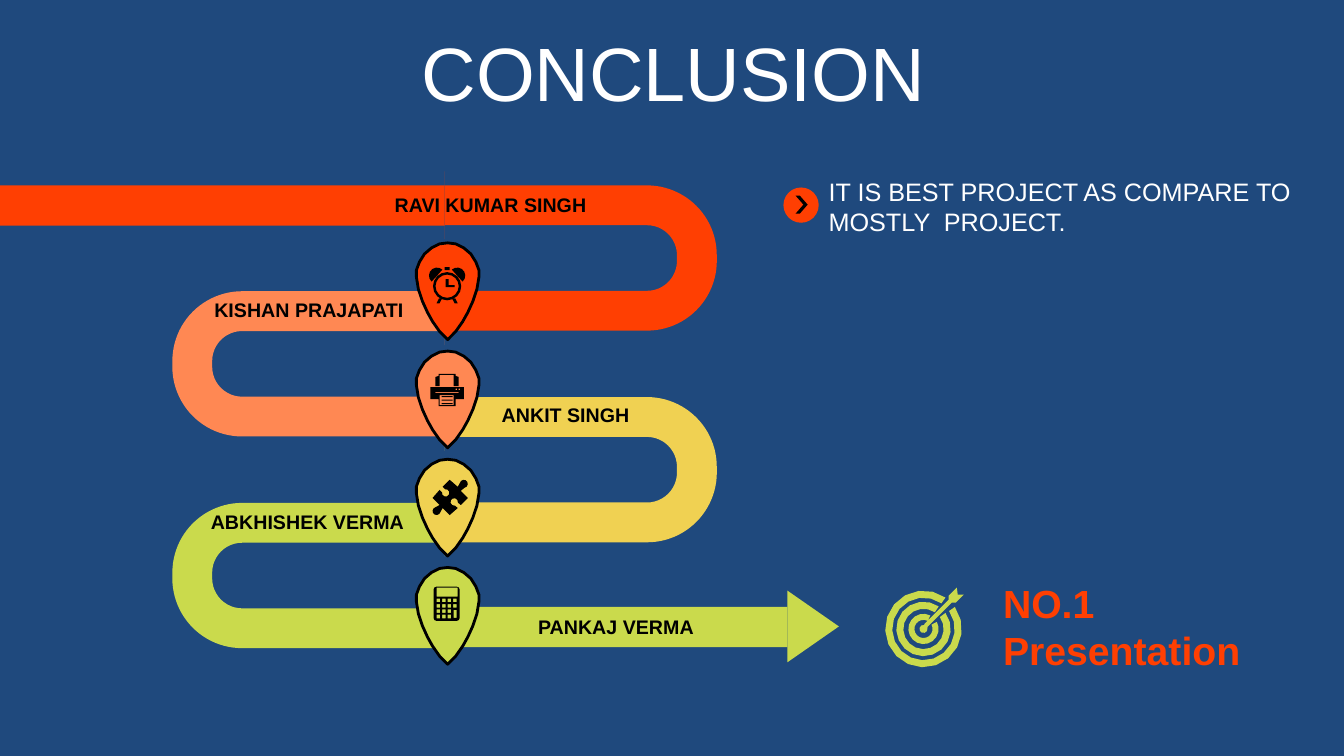
from dataclasses import dataclass
from math import cos, radians, sin

from pptx import Presentation
from pptx.dml.color import RGBColor
from pptx.enum.shapes import MSO_SHAPE as Preset
from pptx.enum.text import MSO_ANCHOR as Anchor, MSO_AUTO_SIZE as AutoSize, PP_ALIGN as Align
from pptx.util import Inches, Pt


@dataclass(frozen=True)
class Theme:
    font: str = "Arial"
    navy: str = "1F497D"
    white: str = "FFFFFF"
    black: str = "000000"
    red: str = "FF3F02"
    coral: str = "FF8853"
    yellow: str = "F0D152"
    lime: str = "CADA4C"
    title: int = 54
    goal: int = 28
    remark: int = 18
    label: int = 14
    pin_line: int = 2


theme = Theme()
COLUMNS, ROWS = 13.33, 7.5
presentation = Presentation()
presentation.slide_width, presentation.slide_height = Inches(COLUMNS), Inches(ROWS)
column = presentation.slide_width / COLUMNS
row = presentation.slide_height / ROWS
slide = presentation.slides.add_slide(presentation.slide_layouts[5])
slide.background.fill.solid()
slide.background.fill.fore_color.rgb = RGBColor.from_string(theme.navy)


def arc(x, y, radius, start, end, steps=7):
    angles = [radians(start + (end - start) * i / steps) for i in range(steps + 1)]
    return [(x + radius * cos(a), y - radius * sin(a)) for a in angles]


def draw(outlines, fill, boxes=()):
    corners = [[(l, t), (r, t), (r, b), (l, b)] for l, t, r, b in boxes]
    contours = [
        [(round(x * column), round(y * row)) for x, y in outline]
        for outline in outlines + corners
    ]
    builder = slide.shapes.build_freeform(*contours[0][0])
    builder.add_line_segments(contours[0][1:], close=True)
    for contour in contours[1:]:
        builder.move_to(*contour[0])
        builder.add_line_segments(contour[1:], close=True)
    shape = builder.convert_to_shape()
    shape.shadow.inherit = False
    shape.fill.solid()
    shape.fill.fore_color.rgb = RGBColor.from_string(fill)
    shape.line.fill.background()
    return shape


bend_colors = [theme.red, theme.coral, theme.yellow, theme.lime]
bend = [0.25, 0.213, 0, 0.438, 1]
parts = [
    (Preset.U_TURN_ARROW, 2.27 if i % 2 else 4.97, 1.14 + 1.05 * i, 1.58, 2.7,
     270 if i % 2 else 90, bend, color)
    for i, color in enumerate(bend_colors)
]
parts += [
    (Preset.RECTANGLE, 0, 1.84, 4.41, 0.4, 0, [], theme.red),
    (Preset.RECTANGLE, 4.41, 6.02, 3.4, 0.4, 0, [], theme.lime),
    (Preset.ISOSCELES_TRIANGLE, 7.71, 5.96, 0.71, 0.51, 90, [], theme.lime),
    (Preset.OVAL, 7.77, 1.86, 0.35, 0.35, 0, [], theme.red),
    (Preset.CHEVRON, 7.89, 1.94, 0.12, 0.18, 0, [0.65], theme.black),
]
for preset, left, top, width, height, rotation, adjustments, color in parts:
    shape = slide.shapes.add_shape(
        preset, round(left * column), round(top * row), round(width * column), round(height * row)
    )
    shape.rotation = rotation
    for i, value in enumerate(adjustments):
        shape.adjustments[i] = value
    if preset == Preset.U_TURN_ARROW and rotation == 90:
        shape._element.spPr.xfrm.set("flipH", "1")
    shape.shadow.inherit = False
    shape.fill.solid()
    shape.fill.fore_color.rgb = RGBColor.from_string(color)
    shape.line.fill.background()

target_x, target_y = 9.16, 6.24
rings = [(0.38, 0.31, 55, 35), (0.27, 0.2, 56, 36), (0.15, 0.09, 63, 28)]
target = [
    arc(target_x, target_y, outer, start, end + 360, 16)
    + arc(target_x, target_y, inner, end + 360, start, 16)
    for outer, inner, start, end in rings
]
dart = arc(target_x, target_y, 0.04, 80, 370) + [
    (9.2, 6.22), (9.44, 5.98), (9.48, 5.98), (9.56, 5.9), (9.5, 5.9),
    (9.49, 5.83), (9.41, 5.91), (9.41, 5.95), (9.17, 6.19),
]
draw(target + [dart], theme.lime)

label = (theme.label, theme.black, True, Align.CENTER, Anchor.MIDDLE)
texts = [
    ("CONCLUSION", 0.35, 0.37, 12.66, 0.79, theme.title, theme.white, False, Align.CENTER, Anchor.MIDDLE),
    ("RAVI KUMAR SINGH", 3.57, 1.86, 2.59, 0.34, *label),
    ("KISHAN PRAJAPATI", 1.8, 2.9, 2.53, 0.34, *label),
    ("ANKIT SINGH", 4.76, 3.94, 1.7, 0.34, *label),
    ("ABKHISHEK VERMA", 1.91, 5.01, 2.28, 0.34, *label),
    ("PANKAJ VERMA", 4.76, 6.05, 2.7, 0.34, *label),
    ("NO.1 Presentation", 9.85, 5.7, 2.84, 1.04, theme.goal, theme.red, True, Align.LEFT, Anchor.TOP),
    ("IT IS BEST PROJECT AS COMPARE TO MOSTLY  PROJECT.", 8.12, 1.7, 5.21, 0.71,
     theme.remark, theme.white, False, Align.LEFT, Anchor.TOP),
]
for text, left, top, width, height, size, color, bold, align, anchor in texts:
    is_title = size == theme.title
    shape = slide.shapes.title if is_title else slide.shapes.add_textbox(0, 0, 0, 0)
    shape.left, shape.top = round(left * column), round(top * row)
    shape.width, shape.height = round(width * column), round(height * row)
    frame = shape.text_frame
    frame.word_wrap = True
    frame.auto_size = AutoSize.NONE
    frame.vertical_anchor = anchor
    paragraph = frame.paragraphs[0]
    paragraph.alignment = align
    if is_title:
        paragraph.line_spacing = 0.9
    run = paragraph.add_run()
    run.text = text
    run.font.name, run.font.size, run.font.bold = theme.font, Pt(size), bold
    run.font.color.rgb = RGBColor.from_string(color)

pin_right = [
    (4.44, 2.41), (4.52, 2.42), (4.6, 2.46), (4.67, 2.52), (4.72, 2.6), (4.75, 2.68),
    (4.75, 2.75), (4.73, 2.87), (4.69, 2.99), (4.64, 3.1), (4.59, 3.19), (4.52, 3.29),
]
pin_axis = 4.44
pin = pin_right + [(pin_axis, 3.37)] + [(2 * pin_axis - x, y) for x, y in pin_right[:0:-1]]
pin_pitch = (5.63 - 2.41) / 3
for i, color in enumerate(bend_colors):
    shape = draw([[(x, y + pin_pitch * i) for x, y in pin]], color)
    shape.line.color.rgb = RGBColor.from_string(theme.black)
    shape.line.width = Pt(theme.pin_line)

clock_x, clock_y = 4.435, 2.84
clock = [arc(clock_x, clock_y, 0.14, 0, 360, 16), arc(clock_x, clock_y, 0.115, 360, 0, 16)]
clock.append([(4.42, 2.77), (4.45, 2.77), (4.45, 2.83), (4.51, 2.83), (4.51, 2.85), (4.42, 2.85)])
for side in (-1, 1):
    clock.append(arc(clock_x + side * 0.1, 2.735, 0.08, 90 - side * 138, 90 + side * 42))
    leg = [(0.08, 2.96), (0.105, 3.01), (0.075, 3.01), (0.055, 2.97)]
    clock.append([(clock_x + side * x, y) for x, y in leg])
draw(clock, theme.black, [(4.41, 2.65, 4.46, 2.68)])

printer = [
    [(4.27, 3.84), (4.6, 3.84), (4.6, 3.96), (4.52, 3.96),
     (4.52, 4.03), (4.35, 4.03), (4.35, 3.96), (4.27, 3.96)],
    [(4.35, 3.71), (4.52, 3.71), (4.52, 3.73), (4.55, 3.74), (4.55, 3.83), (4.5, 3.83),
     (4.5, 3.72), (4.36, 3.72), (4.36, 3.83), (4.32, 3.83), (4.32, 3.74), (4.35, 3.73)],
]
lines = [(4.38, y, 4.49, y + 0.01) for y in (3.93, 3.965, 4)]
lights = [(x, 3.855, x + 0.015, 3.87) for x in (4.52, 4.55)]
draw(printer, theme.black, [(4.36, 3.92, 4.5, 4.02), (4.32, 3.89, 4.55, 3.9)] + lines + lights)

puzzle = (
    [(4.57, 4.87), (4.64, 4.94), (4.57, 5.01)] + arc(4.505, 4.98, 0.037, -10, 280)
    + [(4.54, 5.04), (4.46, 5.11), (4.39, 5.04)] + arc(4.33, 5.07, 0.04, -10, -260)
    + [(4.36, 5.01), (4.29, 4.94), (4.36, 4.86)] + arc(4.42, 4.89, 0.037, 170, 460)
    + [(4.39, 4.83), (4.46, 4.76), (4.54, 4.83)] + arc(4.6, 4.8, 0.04, 170, -80)
)
draw([puzzle], theme.black)

calculator = []
for i, (x, y) in enumerate([(4.53, 5.85), (4.33, 5.85), (4.33, 6.13), (4.53, 6.13)]):
    calculator += arc(x, y, 0.03, 90 * i, 90 * i + 90, 2)
keys = [
    (4.33 + 0.055 * c, 5.94 + 0.053 * r, 4.365 + 0.055 * c, 5.975 + 0.053 * r)
    for r in range(4) for c in range(4) if c < 3 or r < 2
]
draw([calculator], theme.black, [(4.33, 5.83, 4.54, 5.92), (4.5, 6.05, 4.53, 6.13)] + keys)

presentation.save("out.pptx")
